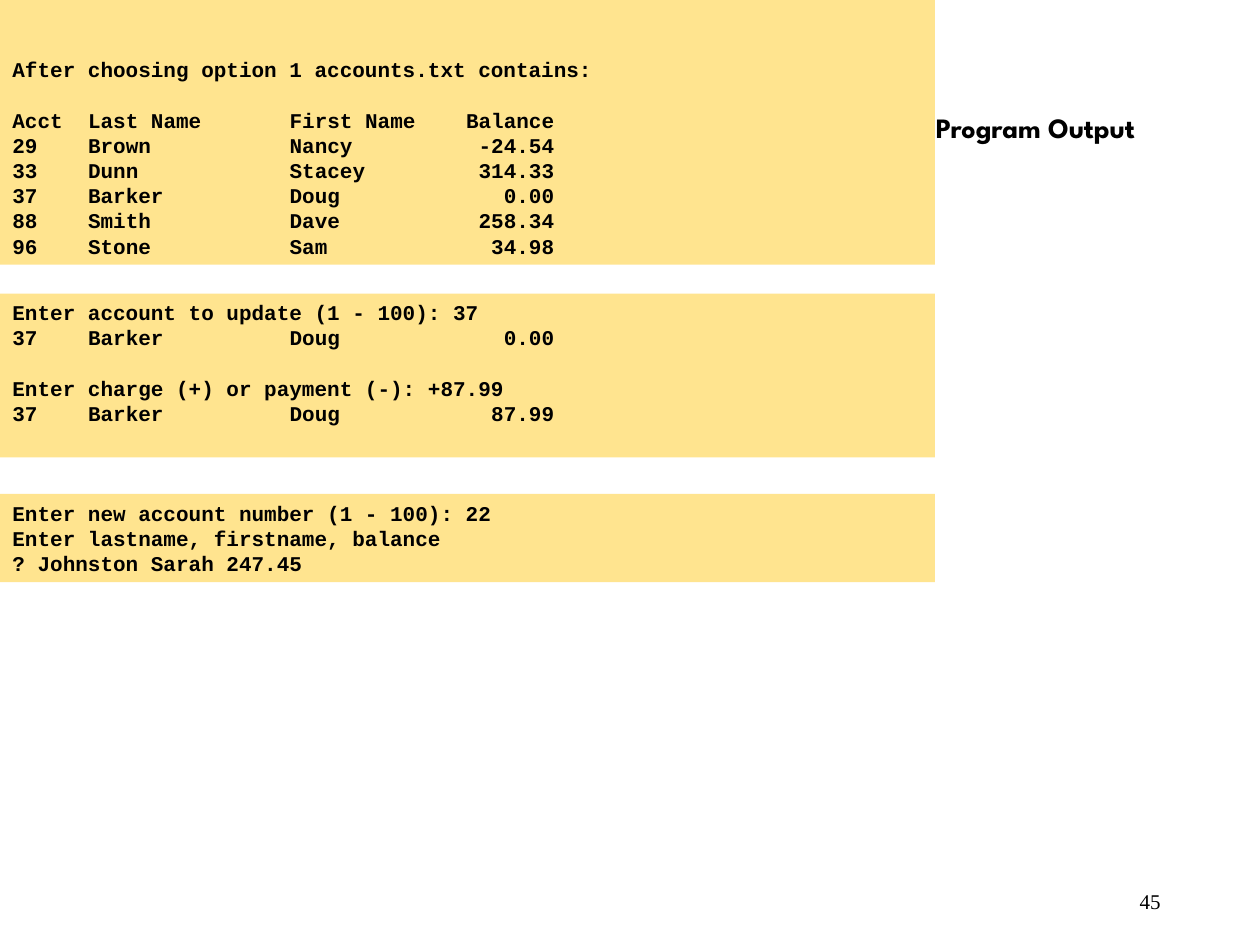
import pptx
import pptx.util
import pptx.dml.color
import pptx.enum.shapes
import pptx.enum.text
from lxml import etree
from pptx.oxml.ns import qn

Inches, Pt = pptx.util.Inches, pptx.util.Pt
RGBColor = pptx.dml.color.RGBColor
ALIGN = pptx.enum.text.PP_ALIGN
ANCHOR = pptx.enum.text.MSO_ANCHOR

BLACK = RGBColor(0, 0, 0)
PANEL_YELLOW = RGBColor(0xFF, 0xE4, 0x8F)

PANEL_WIDTH = 7.42
LINE_PITCH = Pt(14.4)
COLUMN_STOPS = [(0.6, "l"), (2.2, "l"), (4.3, "r")]

# Each panel: top, height, top inset, groups of lines; tuples are table rows.
PANELS = [
    (0, 2.1, 0.45, [
        ["After choosing option 1 accounts.txt contains:"],
        [("Acct", "Last Name", "First Name", "Balance"),
         ("29", "Brown", "Nancy", "-24.54"),
         ("33", "Dunn", "Stacey", "314.33"),
         ("37", "Barker", "Doug", "0.00"),
         ("88", "Smith", "Dave", "258.34"),
         ("96", "Stone", "Sam", "34.98")],
    ]),
    (2.33, 1.3, 0.05, [
        ["Enter account to update (1 - 100): 37",
         ("37", "Barker", "Doug", "0.00")],
        ["Enter charge (+) or payment (-): +87.99",
         ("37", "Barker", "Doug", "87.99")],
    ]),
    (3.92, 0.7, 0.05, [
        ["Enter new account number (1 - 100): 22",
         "Enter lastname, firstname, balance",
         "? Johnston Sarah 247.45"],
    ]),
]

# Each label: text, (left, top, width, height), font, size, bold, align, anchor.
LABELS = [
    ("Program Output", (7.33, 0.83, 2.67, 6.67), "League Spartan", 16, True,
     ALIGN.LEFT, ANCHOR.TOP),
    ("45", (7.06, 6.95, 2.25, 0.4), "Times New Roman", 12, False,
     ALIGN.RIGHT, ANCHOR.MIDDLE),
]


def style_font(paragraph, name, size, bold):
    font = paragraph.font
    font.name, font.size, font.bold = name, Pt(size), bold
    font.color.rgb = BLACK


def add_column_stops(paragraph):
    properties = paragraph._p.get_or_add_pPr()
    tab_list = etree.SubElement(properties, qn("a:tabLst"))
    for position, alignment in COLUMN_STOPS:
        etree.SubElement(tab_list, qn("a:tab"),
                         pos=str(Inches(position)), algn=alignment)


def add_panel(slide, top, height, top_inset, groups):
    panel = slide.shapes.add_shape(
        pptx.enum.shapes.MSO_SHAPE.RECTANGLE,
        Inches(0), Inches(top), Inches(PANEL_WIDTH), Inches(height))
    panel.shadow.inherit = False
    panel.fill.solid()
    panel.fill.fore_color.rgb = PANEL_YELLOW
    panel.line.fill.background()
    frame = panel.text_frame
    frame.word_wrap = True
    frame.vertical_anchor = ANCHOR.TOP
    frame.margin_top = Inches(top_inset)

    paragraph = None
    for group in groups:
        for index, line in enumerate(group):
            starts_new_group = paragraph is not None and index == 0
            paragraph = frame.paragraphs[0] if paragraph is None else frame.add_paragraph()
            paragraph.alignment = ALIGN.LEFT
            paragraph.line_spacing = LINE_PITCH
            if starts_new_group:
                paragraph.space_before = LINE_PITCH
            if isinstance(line, tuple):
                add_column_stops(paragraph)
                line = "\t".join(line)
            paragraph.add_run().text = line
            style_font(paragraph, "Courier New", 12, True)


def add_label(slide, text, box, font_name, size, bold, alignment, anchor):
    label = slide.shapes.add_textbox(*map(Inches, box))
    frame = label.text_frame
    frame.word_wrap = True
    frame.vertical_anchor = anchor
    paragraph = frame.paragraphs[0]
    paragraph.text = text
    paragraph.alignment = alignment
    style_font(paragraph, font_name, size, bold)


def main():
    presentation = pptx.Presentation()
    presentation.slide_width = Inches(10)
    presentation.slide_height = Inches(7.5)
    slide = presentation.slides.add_slide(presentation.slide_layouts[6])
    for label in LABELS:
        add_label(slide, *label)
    for panel in PANELS:
        add_panel(slide, *panel)
    presentation.save("out.pptx")


if __name__ == "__main__":
    main()
